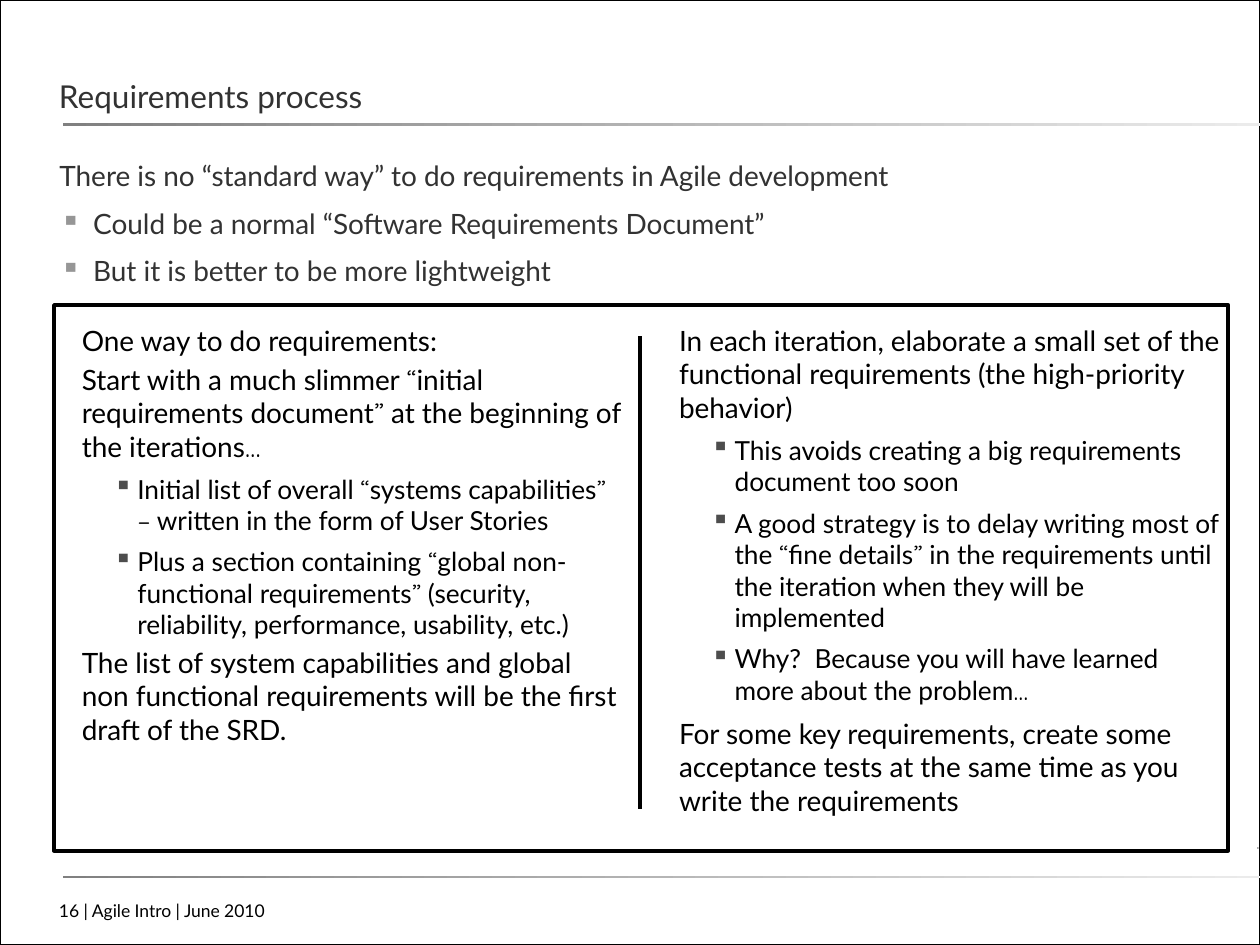
from dataclasses import dataclass
from itertools import groupby

from lxml.etree import SubElement
from pptx import Presentation
from pptx.dml.color import RGBColor
from pptx.enum.shapes import MSO_CONNECTOR, MSO_SHAPE
from pptx.enum.text import MSO_ANCHOR
from pptx.oxml.ns import qn
from pptx.util import Cm, Pt

BLACK = RGBColor(0x00, 0x00, 0x00)
WHITE = RGBColor(0xFF, 0xFF, 0xFF)
CHARCOAL = RGBColor(0x32, 0x32, 0x32)
DARK_GRAY = RGBColor(0x4D, 0x4D, 0x4D)
RULE_GRAY = RGBColor(0x80, 0x80, 0x80)
BULLET_GRAY = RGBColor(0x96, 0x96, 0x96)
PALE_GRAY = RGBColor(0xEB, 0xEB, 0xEB)
TEXT_FONT = "Lato"
SYMBOL_FONT = "Quicksand"
SYMBOLS = "“”…–"


@dataclass
class ParagraphStyle:
    size: float
    color: RGBColor = BLACK
    before: float = 0
    after: float = 0
    line_spacing: object = None
    margin: float = 0
    indent: float = 0
    bullet_color: object = None
    symbol_font: str = TEXT_FONT


FOOTER = ParagraphStyle(10)
TITLE = ParagraphStyle(18, CHARCOAL, line_spacing=Pt(26))
LEAD = ParagraphStyle(16, CHARCOAL, after=5, line_spacing=0.9, margin=0.46)
LEAD_BULLET = ParagraphStyle(16, CHARCOAL, before=4, after=5, line_spacing=0.95,
                             margin=1.14, indent=-0.66, bullet_color=BULLET_GRAY)
COLUMN = ParagraphStyle(16, before=3, symbol_font=SYMBOL_FONT)
COLUMN_END = ParagraphStyle(16, before=6, symbol_font=SYMBOL_FONT)
COLUMN_BULLET = ParagraphStyle(15, before=5.6, margin=1.12, indent=-0.48,
                               bullet_color=DARK_GRAY, symbol_font=SYMBOL_FONT)

INTRODUCTION = [
    (LEAD, "There is no “standard way” to do requirements in Agile development"),
    (LEAD_BULLET, "Could be a normal “Software Requirements Document”"),
    (LEAD_BULLET, "But it is better to be more lightweight"),
]
INITIAL_DOCUMENT = [
    (COLUMN, "One way to do requirements:"),
    (COLUMN, "Start with a much slimmer “initial requirements document” "
             "at the beginning of the iterations…"),
    (COLUMN_BULLET, "Initial list of overall “systems capabilities” – "
                    "written in the form of User Stories"),
    (COLUMN_BULLET, "Plus a section containing “global non-functional requirements” "
                    "(security, reliability, performance, usability, etc.)"),
    (COLUMN, "The list of system capabilities and global non functional "
             "requirements will be the first draft of the SRD."),
]
EACH_ITERATION = [
    (COLUMN, "In each iteration, elaborate a small set of the functional "
             "requirements (the high-priority behavior)"),
    (COLUMN_BULLET, "This avoids creating a big requirements document too soon"),
    (COLUMN_BULLET, "A good strategy is to delay writing most of the “fine details” "
                    "in the requirements until the iteration when they will be implemented"),
    (COLUMN_BULLET, "Why?  Because you will have learned more about the problem…"),
    (COLUMN_END, "For some key requirements, create some acceptance tests "
                 "at the same time as you write the requirements"),
]


class SlideBuilder:
    def __init__(self, slide):
        self.slide = slide

    def rectangle(self, left, top, width, height):
        shape = self.slide.shapes.add_shape(
            MSO_SHAPE.RECTANGLE, Cm(left), Cm(top), Cm(width), Cm(height))
        shape.shadow.inherit = False
        return shape

    def frame(self, left, top, width, height, line_width, fill=None):
        shape = self.rectangle(left, top, width, height)
        if fill is None:
            shape.fill.background()
        else:
            shape.fill.solid()
            shape.fill.fore_color.rgb = fill
        shape.line.color.rgb = BLACK
        shape.line.width = Pt(line_width)

    def fading_rule(self, left, top, width, height):
        shape = self.rectangle(left, top, width, height)
        shape.line.fill.background()
        shape.fill.gradient()
        shape.fill.gradient_angle = 0
        for stop, color in zip(shape.fill.gradient_stops, (RULE_GRAY, PALE_GRAY)):
            stop.color.rgb = color

    def divider(self, x, top, bottom):
        line = self.slide.shapes.add_connector(
            MSO_CONNECTOR.STRAIGHT, Cm(x), Cm(top), Cm(x), Cm(bottom))
        line.line.color.rgb = BLACK
        line.line.width = Pt(2.25)
        SubElement(line._element.spPr, qn("a:effectLst"))

    def text(self, left, top, width, height, content,
             insets=(0, 0, 0, 0), anchor=MSO_ANCHOR.TOP):
        """Add a text box; content holds (style, wording) pairs."""
        box = self.slide.shapes.add_textbox(Cm(left), Cm(top), Cm(width), Cm(height))
        frame = box.text_frame
        frame.word_wrap = True
        frame.vertical_anchor = anchor
        (frame.margin_left, frame.margin_top,
         frame.margin_right, frame.margin_bottom) = map(Cm, insets)
        for index, (style, wording) in enumerate(content):
            paragraph = frame.add_paragraph() if index else frame.paragraphs[0]
            self.format_paragraph(paragraph, style, first=index == 0)
            self.add_runs(paragraph, style, wording)

    def format_paragraph(self, paragraph, style, first):
        paragraph.space_before = Pt(0 if first else style.before)
        paragraph.space_after = Pt(style.after)
        paragraph.line_spacing = style.line_spacing
        properties = paragraph._p.get_or_add_pPr()
        properties.set("marL", str(Cm(style.margin)))
        properties.set("indent", str(Cm(style.indent)))
        if style.bullet_color is not None:
            paragraph.level = 1
            color = SubElement(properties, qn("a:buClr"))
            SubElement(color, qn("a:srgbClr"), val=str(style.bullet_color))
            SubElement(properties, qn("a:buChar"), char="▪")

    def add_runs(self, paragraph, style, wording):
        """Split the wording so that quotes, dashes and dots get the symbol font."""
        def font_name(character):
            return style.symbol_font if character in SYMBOLS else TEXT_FONT

        for name, characters in groupby(wording, key=font_name):
            run = paragraph.add_run()
            run.text = "".join(characters)
            run.font.name = name
            run.font.size = Pt(style.size)
            run.font.color.rgb = style.color


def main():
    presentation = Presentation()
    presentation.slide_width = Cm(25.4)
    presentation.slide_height = Cm(19.05)
    builder = SlideBuilder(presentation.slides.add_slide(presentation.slide_layouts[6]))

    builder.frame(0, 0, 25.4, 19.05, 1, fill=WHITE)
    builder.fading_rule(25.35, 17.07, 0.03, 0.05)
    for top in (2.49, 17.65):
        builder.fading_rule(1.27, top, 24.13, 0.05)
    builder.text(1.19, 18.01, 10.77, 0.58, [(FOOTER, "16 | Agile Intro | June 2010")],
                 insets=(0, 0.13, 0.25, 0.13))
    builder.text(1.19, 0.2, 22.94, 2.11, [(TITLE, "Requirements process")],
                 anchor=MSO_ANCHOR.BOTTOM)
    builder.text(0.74, 3.28, 23.88, 12.57, INTRODUCTION)

    builder.frame(1.09, 6.15, 23.67, 11, 2.25)
    column_insets = (0.3, 0.3, 0.3, 0.3)
    builder.text(1.35, 6.22, 11.53, 9.75, INITIAL_DOCUMENT, column_insets)
    builder.text(13.39, 6.22, 11.53, 10.54, EACH_ITERATION, column_insets)
    builder.divider(12.9, 6.78, 16.31)

    presentation.save("out.pptx")


if __name__ == "__main__":
    main()
